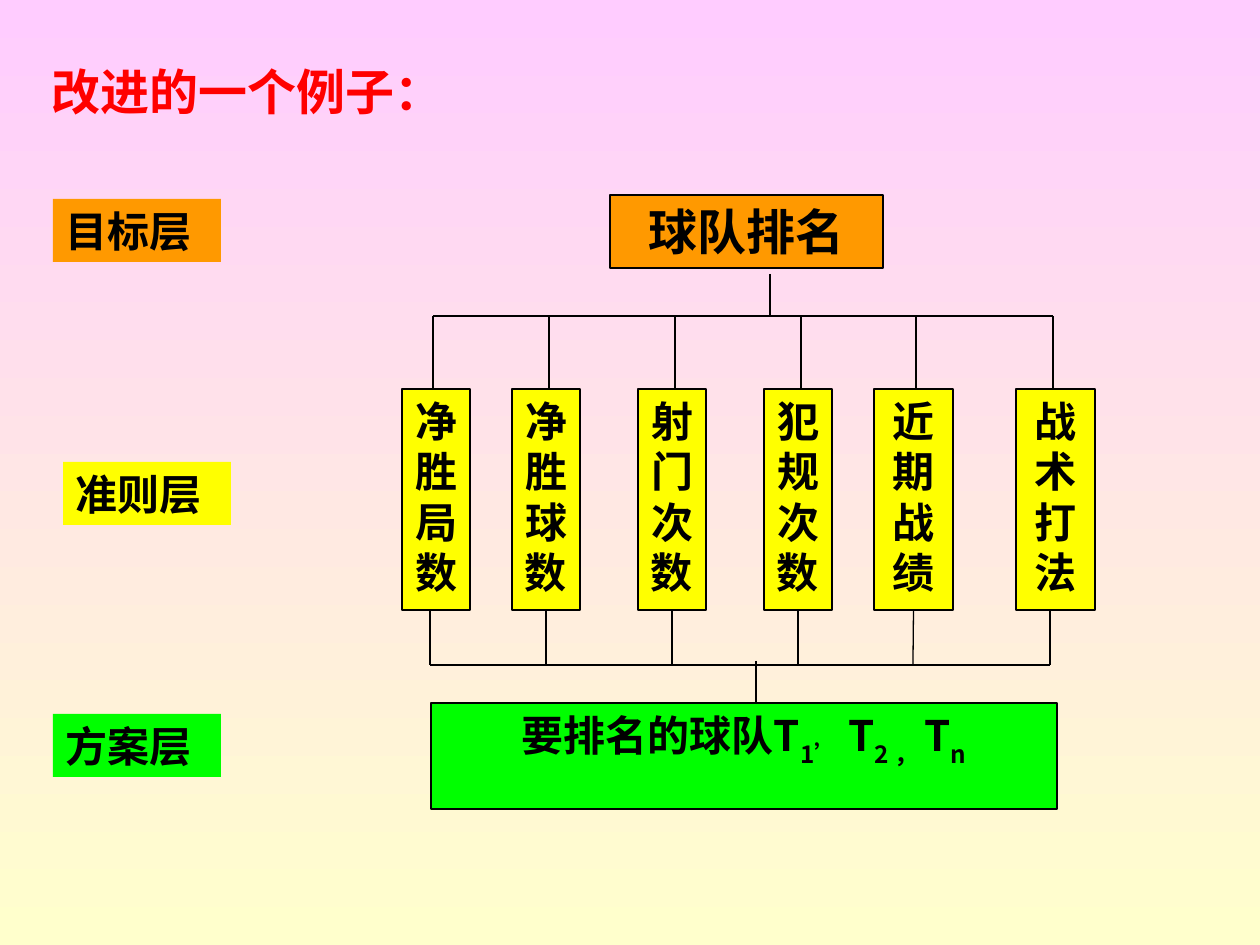
from lxml.etree import SubElement
from pptx import Presentation
from pptx.dml.color import RGBColor
from pptx.enum.shapes import MSO_CONNECTOR as Connector, MSO_SHAPE as Shape
from pptx.enum.text import MSO_ANCHOR as Anchor, MSO_AUTO_SIZE as AutoSize, PP_ALIGN as Align
from pptx.oxml.ns import qn
from pptx.util import Pt

SCALE = 914400 / 126
COLORS = {
    "orange": "FF9900", "yellow": "FFFF00", "green": "00FF00",
    "red": "FF0000", "black": "000000", "pink": "FFCCFF", "cream": "FFFFCC",
}
SERIF = "Times New Roman"
SANS = "Noto Sans CJK SC"
CRITERIA = [
    ("净胜局数", 402, 68, 430),
    ("净胜球数", 512, 68, 546),
    ("射门次数", 638, 68, 672),
    ("犯规次数", 764, 68, 798),
    ("近期战绩", 874, 79, 913),
    ("战术打法", 1016, 79, 1050),
]
LAYERS = [
    ("目标层", 53, 199, "orange"),
    ("准则层", 63, 462, "yellow"),
    ("方案层", 53, 714, "green"),
]
CRITERIA_TOP, CRITERIA_HEIGHT = 389, 221
UPPER_BUS, LOWER_BUS = 316, 665
UPPER_SHIFT = 3


def px(length):
    return round(length * SCALE)


def rgb(name):
    return RGBColor.from_string(COLORS[name])


def set_attributes(target, values):
    for name, value in values.items():
        setattr(target, name, value)


def write_text(shape, runs, size, font=SERIF, color="black", align=Align.CENTER, grow=False):
    frame = shape.text_frame
    set_attributes(frame, {
        "word_wrap": True,
        "vertical_anchor": Anchor.TOP,
        "auto_size": AutoSize.SHAPE_TO_FIT_TEXT if grow else AutoSize.NONE,
    })
    paragraph = frame.paragraphs[0]
    paragraph.alignment = align
    for text, baseline in runs:
        run = paragraph.add_run()
        run.text = text
        set_attributes(run.font, {"size": Pt(size), "bold": True, "name": font})
        run.font.color.rgb = rgb(color)
        properties = run._r.get_or_add_rPr()
        SubElement(properties, qn("a:ea")).set("typeface", SANS)
        if baseline:
            properties.set("baseline", str(baseline * 1000))


def add_box(slide, runs, bounds, fill, size=24, outlined=True, **text_format):
    shape = slide.shapes.add_shape(Shape.RECTANGLE, *map(px, bounds))
    shape.shadow.inherit = False
    shape.fill.solid()
    shape.fill.fore_color.rgb = rgb(fill)
    if outlined:
        shape.line.color.rgb = rgb("black")
        shape.line.width = Pt(0.75)
    else:
        shape.line.fill.background()
    write_text(shape, runs, size, **text_format)
    return shape


def add_line(slide, x1, y1, x2, y2):
    line = slide.shapes.add_connector(Connector.STRAIGHT, *map(px, (x1, y1, x2, y2)))
    line.line.color.rgb = rgb("black")
    line.line.width = Pt(0.75)
    SubElement(line._element.spPr, qn("a:effectLst"))
    return line


def add_criteria(slide):
    bottom = CRITERIA_TOP + CRITERIA_HEIGHT
    for text, left, width, x in CRITERIA:
        box = add_box(slide, [(text, 0)], (left, CRITERIA_TOP, width, CRITERIA_HEIGHT), "yellow")
        add_line(slide, x + UPPER_SHIFT, UPPER_BUS, x + UPPER_SHIFT, CRITERIA_TOP)
        lower = add_line(slide, x, bottom, x, LOWER_BUS)
        if abs(left + width / 2 - x) < 1:
            lower.begin_connect(box, 2)


def add_buses(slide):
    first, last = CRITERIA[0][-1], CRITERIA[-1][-1]
    add_line(slide, first + UPPER_SHIFT, UPPER_BUS, last + UPPER_SHIFT, UPPER_BUS)
    add_line(slide, first, LOWER_BUS, last, LOWER_BUS)
    add_line(slide, 770, 274, 770, UPPER_BUS)
    add_line(slide, 756, 661, 756, 703)


def paint_background(slide):
    fill = slide.background.fill
    fill.gradient()
    fill.gradient_angle = 270
    for stop, position, color in zip(fill.gradient_stops, (0, 1), ("pink", "cream")):
        stop.position = position
        stop.color.rgb = rgb(color)


def main():
    presentation = Presentation()
    set_attributes(presentation, {"slide_width": px(1260), "slide_height": px(945)})
    slide = presentation.slides.add_slide(presentation.slide_layouts[6])
    paint_background(slide)

    add_box(slide, [("球队排名", 0)], (610, 195, 273, 73), "orange", size=28)
    teams = [("要排名的球队T", 0), ("1’", -30), (" T", 0), ("2 ， ", -30), ("T", 0), ("n", -30)]
    add_box(slide, teams, (431, 703, 626, 106), "green", font=SANS)
    add_criteria(slide)
    add_buses(slide)
    for text, left, top, fill in LAYERS:
        add_box(slide, [(text, 0)], (left, top, 168, 63), fill,
                outlined=False, align=Align.LEFT, grow=True)

    title = slide.shapes.add_textbox(*map(px, (34, 55, 427, 72)))
    write_text(title, [("改进的一个例子：", 0)], 28, font=SANS, color="red", grow=True)
    presentation.save("out.pptx")


if __name__ == "__main__":
    main()
